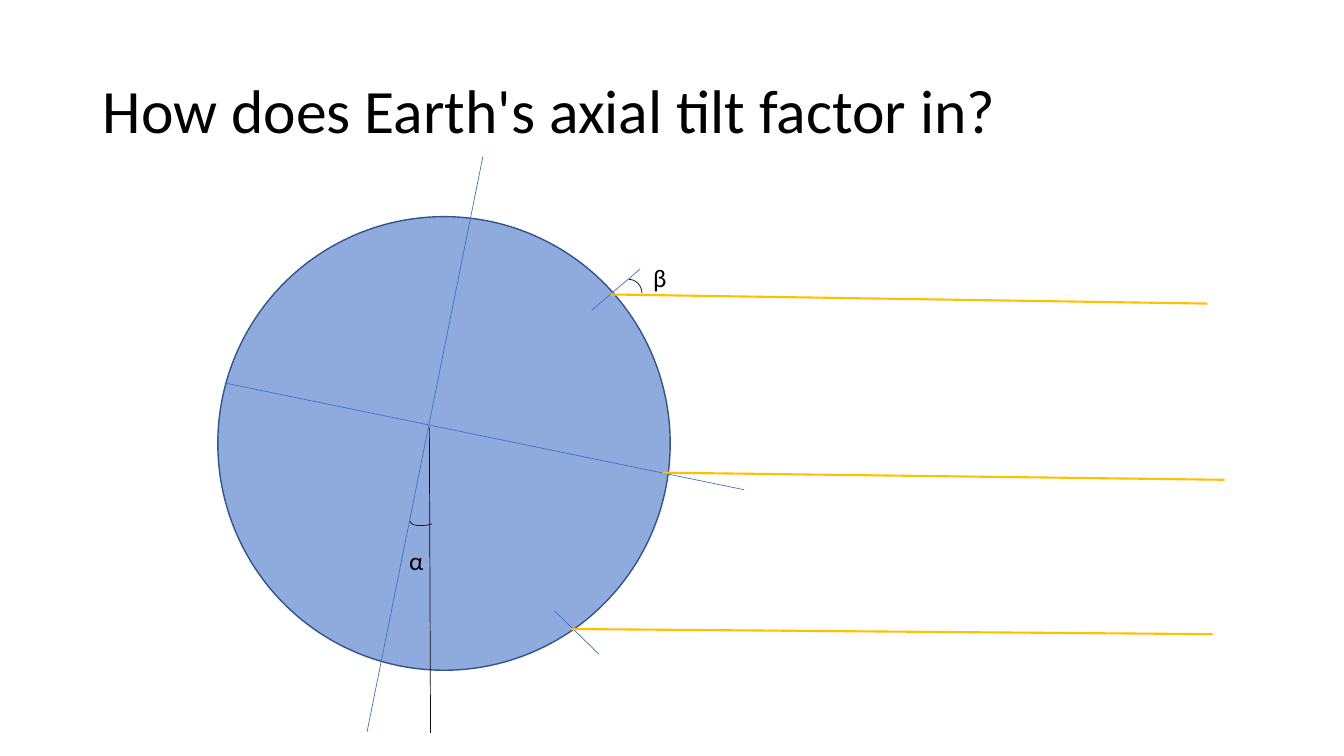
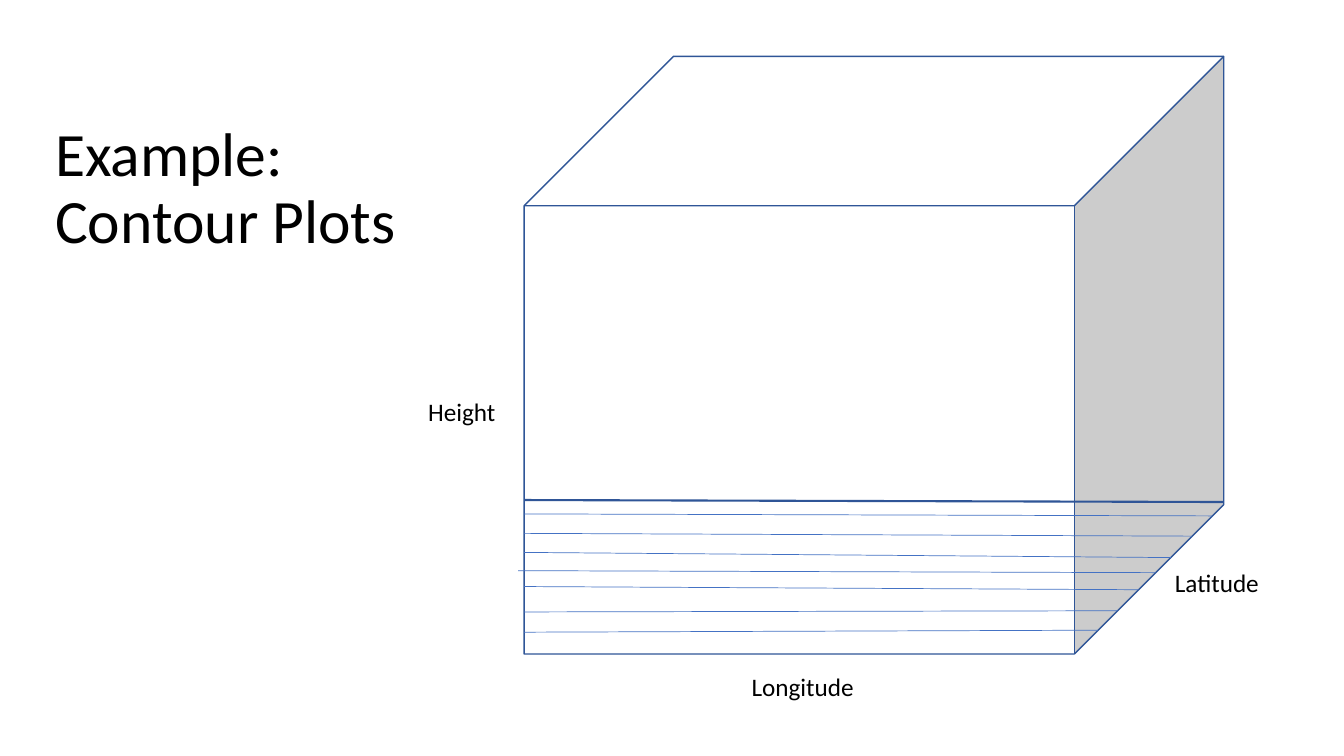
from lxml import etree
from pptx import Presentation
from pptx import util as u
from pptx.dml.color import RGBColor
from pptx.enum import shapes, text
from pptx.oxml import ns

INK, SEA, RIM, GRID, EDGE, SUN, DARK, WHITE = (
    "000000", "8FAADC", "325491", "4472C4", "2F5597", "FFC000", "0D0D0D", "FFFFFF")
TITLE = {"size": u.Pt(44), "name": "Calibri"}
LABEL = {"size": u.Pt(18), "name": "Calibri"}
KIND = shapes.MSO_SHAPE


def rgb(code):
    """Turn a hex string into a colour."""
    return RGBColor.from_string(code)


def apply(item, form):
    """Set each attribute named in a dict."""
    for key, val in form.items():
        setattr(item, key, val)


def cms(*vals):
    """Turn plain numbers into lengths."""
    return [u.Cm(val) for val in vals]


class Deck:
    """Hold the style and the current slide."""

    def __init__(self):
        """Start a wide deck."""
        self.prs = Presentation()
        apply(self.prs, {"slide_width": u.Cm(33.87), "slide_height": u.Cm(19.05)})

    def page(self, head, box):
        """Add a slide with its title."""
        self.slide = self.prs.slides.add_slide(self.prs.slide_layouts[6])
        self.label(head, box, TITLE, text.MSO_ANCHOR.MIDDLE, 0.9)

    def label(self, words, box, font=LABEL, anchor=text.MSO_ANCHOR.TOP, gap=1.0):
        """Add a text box."""
        frame = self.slide.shapes.add_textbox(*cms(*box)).text_frame
        apply(frame, {"word_wrap": True, "vertical_anchor": anchor, "text": words})
        para = frame.paragraphs[0]
        para.line_spacing = gap
        apply(para.font, font)
        para.font.color.rgb = rgb(INK)

    def pen(self, item, color, width):
        """Style an outline."""
        item.line.color.rgb = rgb(color)
        item.line.width = u.Pt(width)

    def shape(self, kind, box, line, width=1, fill=None, turn=0):
        """Add a preset shape."""
        item = self.slide.shapes.add_shape(kind, *cms(*box))
        item.shadow.inherit = False
        item.rotation = turn
        if fill:
            item.fill.solid()
            item.fill.fore_color.rgb = rgb(fill)
        else:
            item.fill.background()
        self.pen(item, line, width)

    def line(self, ends, color=GRID, width=0.5):
        """Add a straight line from x, y to x, y."""
        item = self.slide.shapes.add_connector(
            shapes.MSO_CONNECTOR.STRAIGHT, *cms(*ends))
        self.pen(item, color, width)
        etree.SubElement(item._element.spPr, ns.qn("a:effectLst"))


def tilt(deck):
    """Draw the tilted globe and the sun's rays."""
    deck.page("How does Earth's axial tilt factor in?", (2.34, 1.02, 29.21, 3.68))
    deck.shape(KIND.OVAL, (5.49, 5.46, 11.4, 11.43), RIM, fill=SEA)
    axis, level = (12.17, 3.94, 9.25, 18.44), (5.66, 9.65, 18.75, 12.34)
    north, south = (14.91, 7.82, 16.13, 6.78), (13.97, 15.39, 15.09, 16.48)
    for ends in (axis, level, north, south):
        deck.line(ends)
    deck.line((10.82, 10.77, 10.85, 18.47), DARK)
    for ray in ((15.39, 7.42, 30.43, 7.65), (16.69, 11.91, 30.86, 12.09),
                (14.4, 15.85, 30.56, 15.98)):
        deck.line(ray, SUN, 1.5)
    deck.shape(KIND.ARC, (10.31, 12.78, 1.04, 0.43), DARK, 0.5, turn=164)
    deck.shape(KIND.ARC, (15.52, 7.04, 0.66, 0.71), DARK, 0.5)
    deck.label("α", (10.06, 13.61, 0.94, 1.02))
    deck.label("β", (16.21, 6.48, 0.74, 1.02))


def plot(deck):
    """Draw the cube with its contour lines."""
    deck.page("Example: \vContour Plots", (1.14, 2.67, 9.91, 4.24))
    left, top, wide, high = 13.21, 1.42, 17.63, 15.06
    deck.shape(KIND.CUBE, (left, top, wide, high), EDGE, fill=WHITE)
    deck.label("Latitude", (29.36, 14.17, 2.95, 1.02))
    deck.label("Longitude", (18.69, 16.79, 3.43, 1.02))
    deck.label("Height", (10.54, 9.86, 2.44, 1.02))
    slant = left + wide + top + high * 0.75  # x + y along the cube's lower right edge
    for start, end in ((12.95, 13.0), (13.44, 13.51), (13.92, 14.05), (14.38, 14.43),
                       (14.78, 14.86), (15.42, 15.39), (15.93, 15.88)):
        out = 0.15 if start == 14.38 else 0
        deck.line((left - out, start, slant - end, end))
    deck.line((left, 12.6, left + wide, 12.65), EDGE, 1.5)


deck = Deck()
tilt(deck)
plot(deck)
deck.prs.save("out.pptx")
